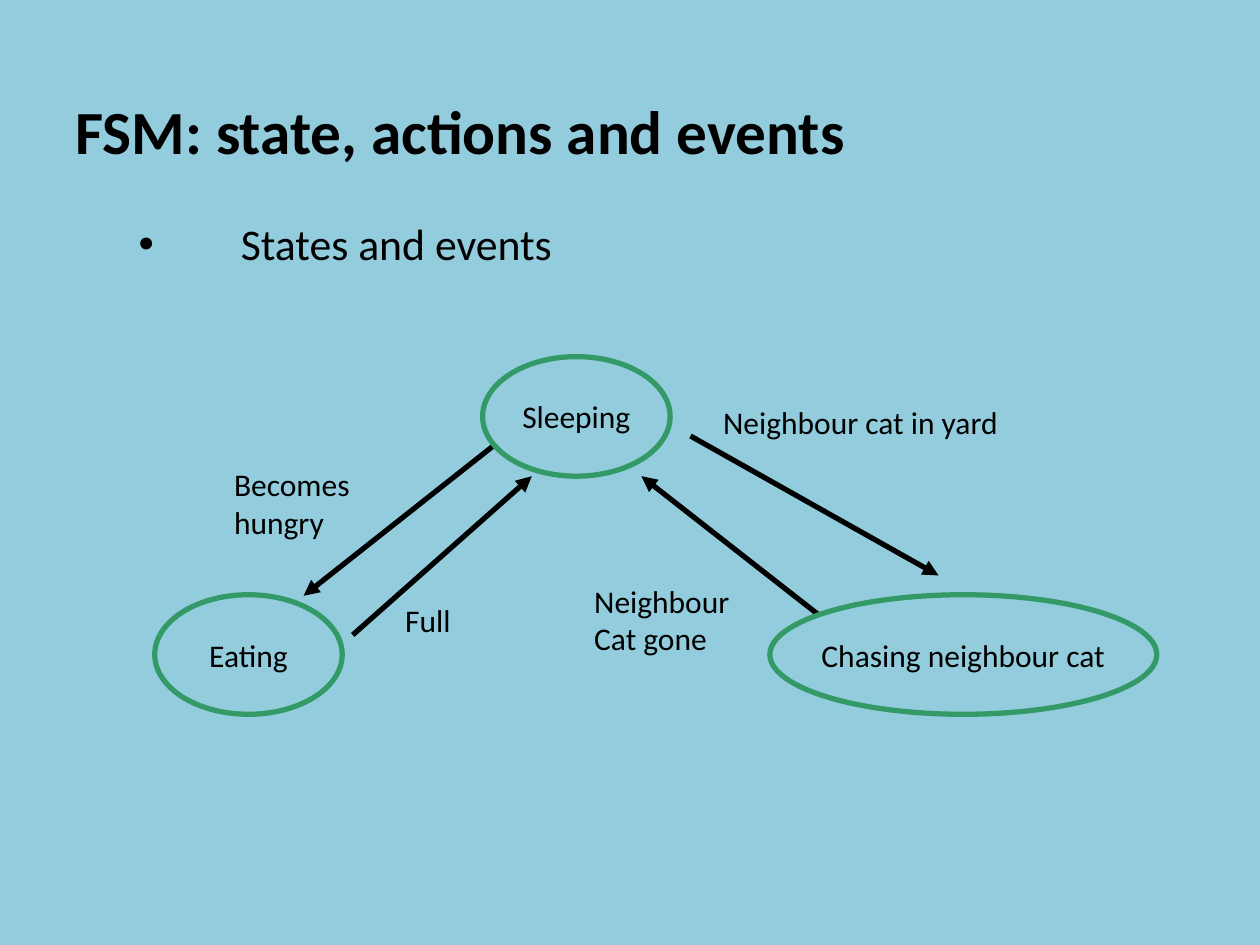
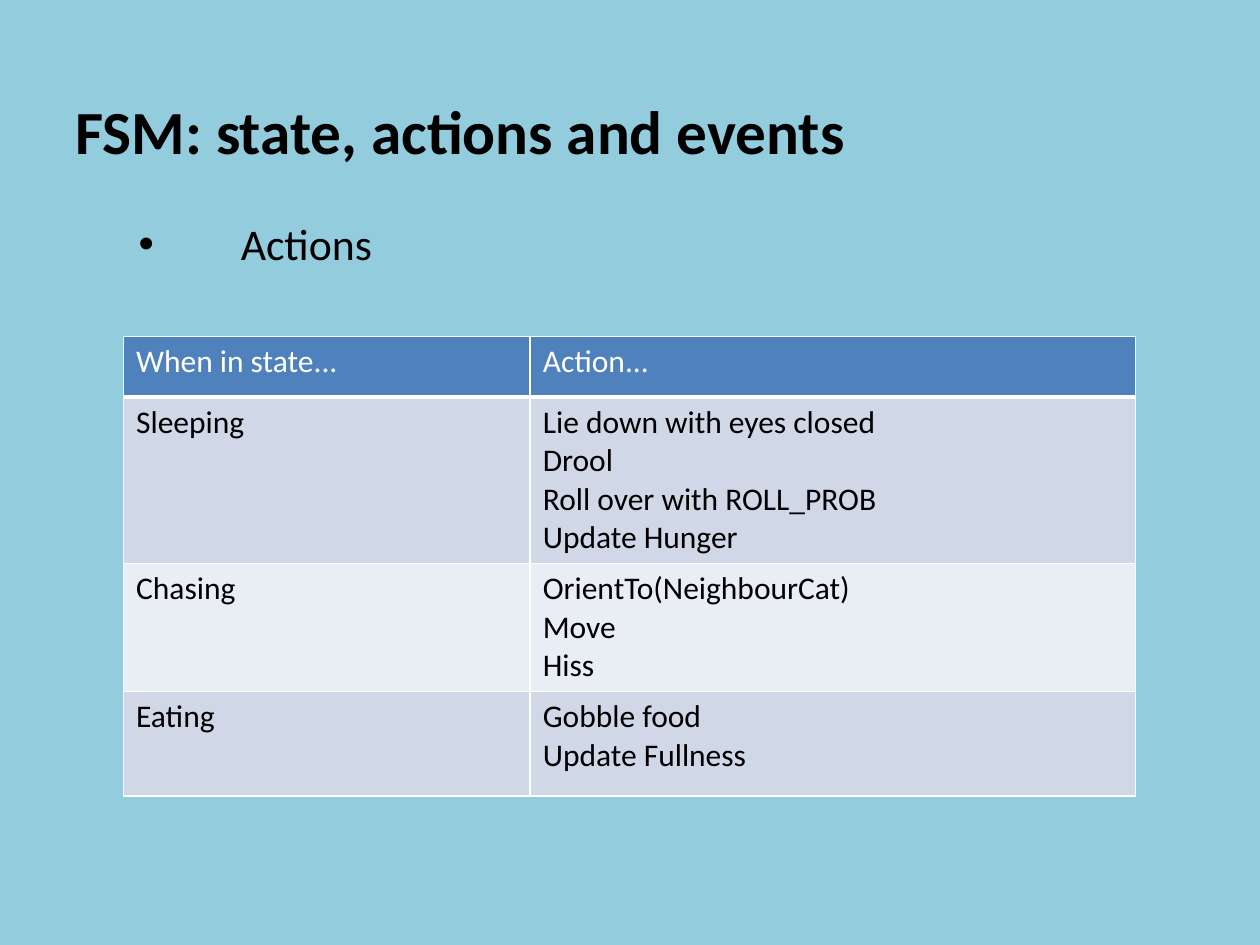
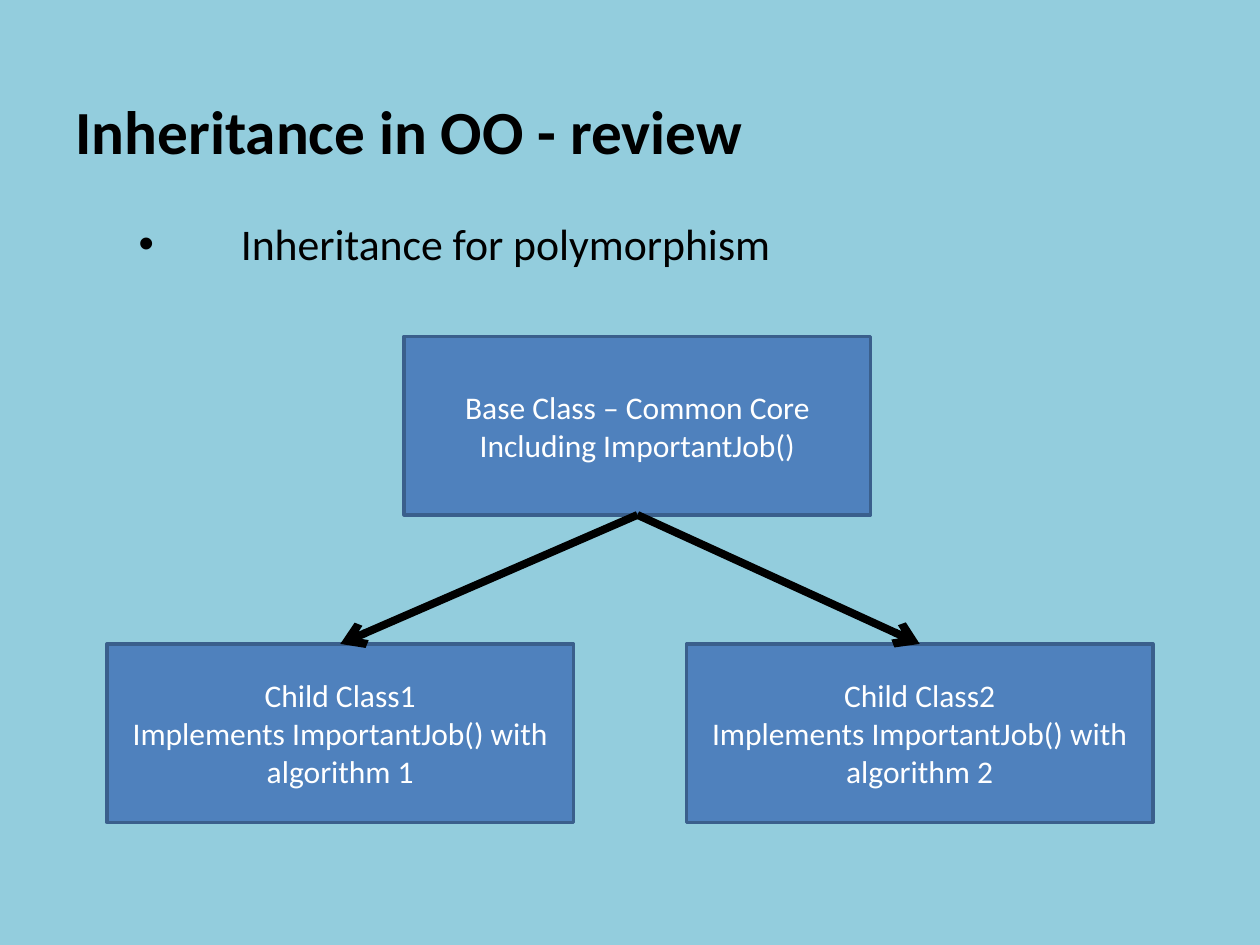
from lxml.etree import SubElement
from pptx import Presentation
from pptx.dml.color import RGBColor as RGB
from pptx.enum.shapes import MSO_CONNECTOR as CONN, MSO_SHAPE as SHAPE
from pptx.enum.text import MSO_ANCHOR as ANCHOR, MSO_AUTO_SIZE as FIT, PP_ALIGN as ALIGN
from pptx.oxml.ns import qn
from pptx.util import Cm, Pt

COLORS = {
    "background": "93CDDD",
    "text": "000000",
    "light": "FFFFFF",
    "state": "339966",
    "box": "4F81BD",
    "box_line": "3A5F8C",
    "band_dark": "D0D8E8",
    "band_light": "E9EDF4",
}


def rgb(name):
    return RGB.from_string(COLORS[name])


class Deck:
    font = "Calibri"
    title_size, bullet_size, text_size = 35, 25, 18

    def __init__(self):
        self.prs = Presentation()
        self.prs.slide_width, self.prs.slide_height = Cm(25.4), Cm(19.05)
        fill = self.prs.slide_master.background.fill
        fill.solid()
        fill.fore_color.rgb = rgb("background")

    def add_text(self, tf, lines, color="text", size=text_size, bold=False, align=ALIGN.LEFT):
        for i, line in enumerate(lines):
            p = tf.paragraphs[0] if i == 0 else tf.add_paragraph()
            p.alignment = align
            p.space_before = Pt(0)
            r = p.add_run()
            r.text = line
            r.font.name, r.font.size, r.font.bold = self.font, Pt(size), bold
            r.font.color.rgb = rgb(color)

    def place(self, sp, left, top, width, height):
        sp.left, sp.top, sp.width, sp.height = Cm(left), Cm(top), Cm(width), Cm(height)
        tf = sp.text_frame
        tf.auto_size = FIT.NONE
        tf.vertical_anchor = ANCHOR.MIDDLE
        return tf

    def slide(self, title, bullet):
        self.current = self.prs.slides.add_slide(self.prs.slide_layouts[1])
        head, body = self.current.placeholders
        tf = self.place(head, 1.27, 1.5, 22.86, 2.25)
        self.add_text(tf, [title], size=self.title_size, bold=True)
        tf = self.place(body, 2.54, 4, 21.6, 1.8)
        self.add_text(tf, [bullet], size=self.bullet_size)
        pPr = tf.paragraphs[0]._p.get_or_add_pPr()
        pPr.set("marL", str(Cm(2.06)))
        pPr.set("indent", str(-Cm(2.06)))

    def shape(self, kind, lines, left, top, width, height, line, weight, fill=None, color="text"):
        sp = self.current.shapes.add_shape(kind, Cm(left), Cm(top), Cm(width), Cm(height))
        sp.shadow.inherit = False
        if fill:
            sp.fill.solid()
            sp.fill.fore_color.rgb = rgb(fill)
        else:
            sp.fill.background()
        sp.line.color.rgb = rgb(line)
        sp.line.width = Pt(weight)
        tf = sp.text_frame
        tf.word_wrap = fill is not None
        tf.vertical_anchor = ANCHOR.MIDDLE
        self.add_text(tf, lines, color, align=ALIGN.CENTER)
        return sp

    def state(self, name, left, top, width):
        return self.shape(SHAPE.OVAL, [name], left, top, width, 2.41, "state", 3)

    def class_box(self, lines, left, top):
        return self.shape(SHAPE.RECTANGLE, lines, left, top, 9.4, 3.6,
                          "box_line", 2, "box", "light")

    def label(self, lines, left, top, width):
        height = 0.1 + 0.86 * len(lines)
        sp = self.current.shapes.add_textbox(Cm(left), Cm(top), Cm(width), Cm(height))
        sp.text_frame.word_wrap = True
        self.add_text(sp.text_frame, lines)

    def arrow(self, x1, y1, x2, y2, weight=3, head="triangle"):
        c = self.current.shapes.add_connector(CONN.STRAIGHT, Cm(x1), Cm(y1), Cm(x2), Cm(y2))
        c.line.color.rgb = rgb("text")
        c.line.width = Pt(weight)
        SubElement(c.line._get_or_add_ln(), qn("a:tailEnd"), type=head)
        SubElement(c._element.spPr, qn("a:effectLst"))
        return c

    def inherit(self, parent, child):
        c = self.arrow(0, 0, 1, 1, 4.5, "arrow")
        c.begin_connect(parent, 2)
        c.end_connect(child, 0)

    def borders(self, cell, header):
        tcPr = cell._tc.get_or_add_tcPr()
        for side in "LRTB":
            weight = 3 if header and side == "B" else 1
            ln = SubElement(tcPr, qn("a:ln" + side), w=str(Pt(weight)))
            fill = SubElement(ln, qn("a:solidFill"))
            SubElement(fill, qn("a:srgbClr"), val=COLORS["light"])

    def table(self, rows, left, top, widths, heights):
        tbl = self.current.shapes.add_table(
            len(rows), len(widths), Cm(left), Cm(top),
            Cm(sum(widths)), Cm(sum(heights))).table
        for col, width in zip(tbl.columns, widths):
            col.width = Cm(width)
        for i, (row, height) in enumerate(zip(rows, heights)):
            tbl.rows[i].height = Cm(height)
            band = "box" if i == 0 else "band_dark" if i % 2 else "band_light"
            for j, lines in enumerate(row):
                cell = tbl.cell(i, j)
                self.borders(cell, i == 0)
                cell.fill.solid()
                cell.fill.fore_color.rgb = rgb(band)
                self.add_text(cell.text_frame, lines, "light" if i == 0 else "text")


deck = Deck()

deck.slide("FSM: state, actions and events", "States and events")
for ends in [
    (13.92, 8.79, 18.92, 11.6),
    (9.93, 9, 6.12, 12.01),
    (16.51, 12.4, 12.93, 9.6),
    (7.11, 12.8, 10.72, 9.6),
]:
    deck.arrow(*ends)
deck.state("Sleeping", 9.73, 7.19, 3.78)
deck.state("Eating", 3.12, 11.99, 3.78)
deck.state("Chasing neighbour cat", 15.52, 11.99, 7.8)
deck.label(["Neighbour cat in yard"], 14.33, 8, 7.04)
deck.label(["Neighbour", "Cat gone"], 11.73, 11.6, 3.68)
deck.label(["Becomes", "hungry"], 4.47, 9.25, 3.33)
deck.label(["Full"], 7.92, 11.99, 1.65)

deck.slide("FSM: state, actions and events", "Actions")
deck.table([
    (["When in state..."], ["Action..."]),
    (["Sleeping"], ["Lie down with eyes closed", "Drool",
                    "Roll over with ROLL_PROB", "Update Hunger"]),
    (["Chasing"], ["OrientTo(NeighbourCat)", "Move", "Hiss"]),
    (["Eating"], ["Gobble food", "Update Fullness"]),
], 2.49, 6.78, [8.2, 12.2], [1.22, 2.79, 2.39, 2.11])

deck.slide("Inheritance in OO - review", "Inheritance for polymorphism")
base = deck.class_box(["Base Class – Common Core", "Including ImportantJob()"], 8.15, 6.78)
for n, left in enumerate([2.16, 13.84], 1):
    child = deck.class_box(
        [f"Child Class{n}", f"Implements ImportantJob() with algorithm {n}"], left, 12.98)
    deck.inherit(base, child)

deck.prs.save("out.pptx")
